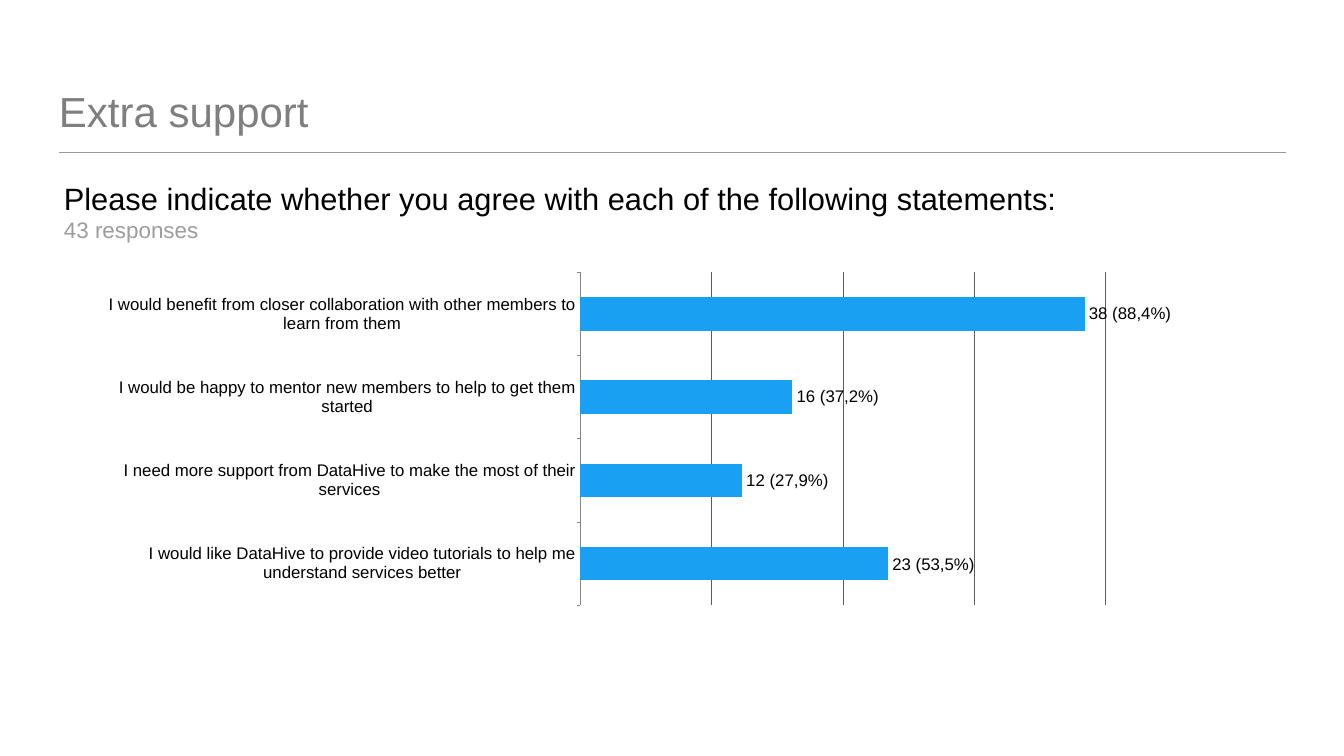
from lxml import etree
from pptx import Presentation
from pptx.chart.data import CategoryChartData
from pptx.dml.color import RGBColor
from pptx.enum.chart import XL_CHART_TYPE as ChartType, XL_TICK_MARK as Tick
from pptx.enum.shapes import MSO_CONNECTOR as Connector
from pptx.enum.text import MSO_ANCHOR as Anchor
from pptx.oxml import parse_xml
from pptx.oxml.ns import nsdecls, qn
from pptx.util import Inches, Pt

FONT = "Arial"
RESPONSES = [
    ("I would benefit from closer collaboration with other members to learn from them",
     100, "38 (88,4%)"),
    ("I would be happy to mentor new members to help to get them started",
     42, "16 (37,2%)"),
    ("I need more support from DataHive to make the most of their services",
     32, "12 (27,9%)"),
    ("I would like DataHive to provide video tutorials to help me understand services better",
     61, "23 (53,5%)"),
]
BAR_START, INCHES_PER_UNIT = 11.51, 0.1
LABEL_TOP, BAR_PITCH = 5.95, 1.66
PLOT_AREA = {"x": 0.475, "y": 0.044, "w": 0.518, "h": 0.956}


def color(value):
    return RGBColor.from_string(value)


def set_font(font, size, value):
    font.name = FONT
    font.size = Pt(size)
    font.color.rgb = color(value)


def add_text(s, box, lines, inset=True, anchor=Anchor.TOP):
    tf = s.shapes.add_textbox(*map(Inches, box)).text_frame
    tf.word_wrap = True
    tf.vertical_anchor = anchor
    if not inset:
        tf.margin_left = tf.margin_right = tf.margin_top = tf.margin_bottom = 0
    for i, (text, size, value) in enumerate(lines):
        p = tf.add_paragraph() if i else tf.paragraphs[0]
        p.text = text
        set_font(p.font, size, value)


def add_rule(s, left, top, width):
    line = s.shapes.add_connector(
        Connector.STRAIGHT, Inches(left), Inches(top), Inches(left + width), Inches(top))
    line.line.color.rgb = color("9A9A9A")
    line.line.width = Pt(1)
    etree.SubElement(line._element.spPr, qn("a:effectLst"))


def set_plot_layout(chart):
    plot_area = chart._chartSpace.chart.plotArea
    for old in plot_area.findall(qn("c:layout")):
        plot_area.remove(old)
    sizes = "".join(f'<c:{key} val="{val}"/>' for key, val in PLOT_AREA.items())
    plot_area.insert(0, parse_xml(
        f'<c:layout {nsdecls("c")}><c:manualLayout><c:layoutTarget val="inner"/>'
        f'<c:xMode val="edge"/><c:yMode val="edge"/>{sizes}</c:manualLayout></c:layout>'))


def add_bar_chart(s, box):
    data = CategoryChartData()
    data.categories = [statement for statement, _, _ in RESPONSES]
    data.add_series("Series 1", [value for _, value, _ in RESPONSES])
    chart = s.shapes.add_chart(
        ChartType.BAR_CLUSTERED, *map(Inches, box), data).chart
    chart.has_legend = chart.has_title = False
    set_font(chart.font, 10, "000000")
    set_plot_layout(chart)

    plot = chart.plots[0]
    plot.gap_width = 150
    plot.vary_by_categories = False
    fill = plot.series[0].format.fill
    fill.solid()
    fill.fore_color.rgb = color("1AA0F2")

    cats = chart.category_axis
    cats.reverse_order = True
    cats.major_tick_mark = Tick.OUTSIDE
    cats.format.line.color.rgb = color("868686")
    cats.format.line.width = Pt(0.75)
    set_font(cats.tick_labels.font, 24, "000000")

    vals = chart.value_axis
    vals.visible = False
    vals.minimum_scale, vals.maximum_scale, vals.major_unit = 0, 105, 26
    grid = vals.major_gridlines.format.line
    grid.color.rgb = color("5C5C5C")
    grid.width = Pt(0.75)


def add_bar_labels(s):
    for i, (_, value, label) in enumerate(RESPONSES):
        left = BAR_START + value * INCHES_PER_UNIT
        top = LABEL_TOP + i * BAR_PITCH
        add_text(s, (left, top, 3.49, 0.5), [(label, 24, "000000")])


def main():
    prs = Presentation()
    prs.slide_width, prs.slide_height = Inches(26.67), Inches(15)
    s = prs.slides.add_slide(prs.slide_layouts[6])
    add_rule(s, 1.17, 3.03, 24.34)
    add_text(s, (1.17, 0.54, 24.32, 2.15), [("Extra support", 60, "7F7F7F")],
             inset=False, anchor=Anchor.BOTTOM)
    add_text(s, (1.17, 3.51, 23.46, 1.38), [
        ("Please indicate whether you agree with each of the following statements:",
         44, "000000"),
        ("43 responses", 32, "9D9D9D"),
    ])
    add_bar_chart(s, (1.87, 5.1, 20.31, 6.91))
    add_bar_labels(s)
    prs.save("out.pptx")


if __name__ == "__main__":
    main()
